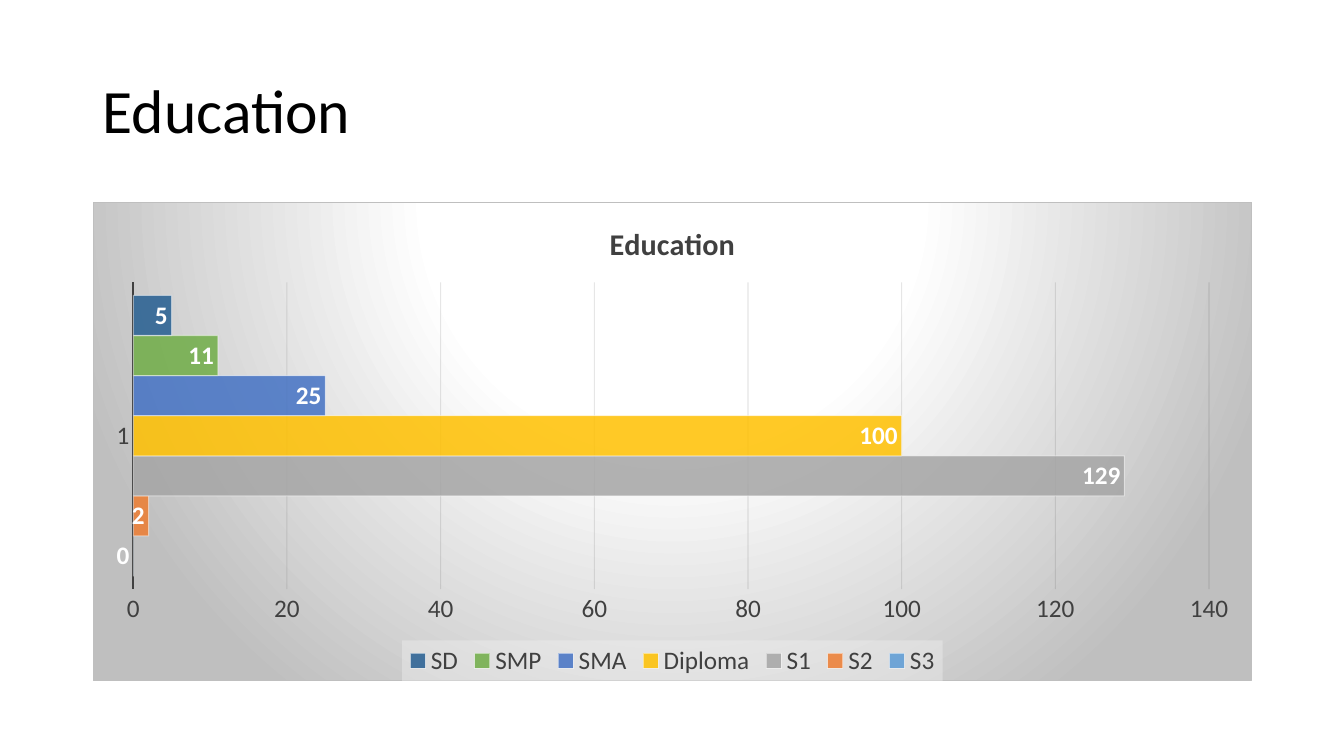
"""Build a slide with a bar chart of people by level of education."""
from dataclasses import dataclass
from typing import Any

import pptx
import pptx.chart.data
import pptx.dml.color
import pptx.enum.chart
import pptx.enum.text
import pptx.oxml
import pptx.oxml.ns
import pptx.util

RGBColor = pptx.dml.color.RGBColor
Cm = pptx.util.Cm
Pt = pptx.util.Pt

BLACK = RGBColor(0x00, 0x00, 0x00)
WHITE = RGBColor(0xFF, 0xFF, 0xFF)
DARK_GREY = RGBColor(0x40, 0x40, 0x40)
GRID_GREY = RGBColor(0x0D, 0x0D, 0x0D)
BORDER_GREY = RGBColor(0xBF, 0xBF, 0xBF)
LEGEND_GREY = RGBColor(0xF2, 0xF2, 0xF2)

FONT = "Calibri"
LEFT, WIDTH = Cm(2.34), Cm(29.21)


@dataclass(frozen=True)
class Level:
    """One level of education with its head count and bar colour."""

    name: str
    people: int
    color: RGBColor


LEVELS = [
    Level("S3", 0, RGBColor(0x5B, 0x9B, 0xD5)),
    Level("S2", 2, RGBColor(0xED, 0x7D, 0x31)),
    Level("S1", 129, RGBColor(0xA5, 0xA5, 0xA5)),
    Level("Diploma", 100, RGBColor(0xFF, 0xC0, 0x00)),
    Level("SMA", 25, RGBColor(0x44, 0x72, 0xC4)),
    Level("SMP", 11, RGBColor(0x70, 0xAD, 0x47)),
    Level("SD", 5, RGBColor(0x25, 0x5E, 0x91)),
]

OPACITY = {
    ".//c:ser/c:spPr/a:solidFill/a:srgbClr": 85,
    ".//c:ser/c:spPr/a:ln/a:solidFill/a:srgbClr": 50,
    ".//c:majorGridlines//a:srgbClr": 10,
    ".//c:legend/c:spPr//a:srgbClr": 39,
}

NAMESPACES = pptx.oxml.ns.nsdecls("c", "a")
BACKDROP = f"""<c:spPr {NAMESPACES}>
  <a:gradFill flip="none" rotWithShape="1">
    <a:gsLst>
      <a:gs pos="0"><a:srgbClr val="{WHITE}"/></a:gs>
      <a:gs pos="39000"><a:srgbClr val="{WHITE}"/></a:gs>
      <a:gs pos="100000"><a:srgbClr val="{BORDER_GREY}"/></a:gs>
    </a:gsLst>
    <a:path path="circle">
      <a:fillToRect l="50000" t="-80000" r="50000" b="180000"/>
    </a:path>
  </a:gradFill>
  <a:ln w="9525"><a:solidFill><a:srgbClr val="{BORDER_GREY}"/></a:solidFill></a:ln>
</c:spPr>"""
LEGEND_PANEL = f"""<c:spPr {NAMESPACES}>
  <a:solidFill><a:srgbClr val="{LEGEND_GREY}"/></a:solidFill>
</c:spPr>"""


def apply(target: Any, values: dict[str, Any]) -> None:
    """Set each named attribute of the target."""
    for name, value in values.items():
        setattr(target, name, value)


def style_font(font: Any, size: float, color: RGBColor, bold: bool = False) -> None:
    """Give a font its face, size, weight and colour."""
    apply(font, {"name": FONT, "size": Pt(size), "bold": bold})
    font.color.rgb = color


def style_line(line: Any, color: RGBColor, width: float) -> None:
    """Give a line its colour and width."""
    line.color.rgb = color
    line.width = Pt(width)


def add_heading(slide: Any) -> None:
    """Write the slide heading."""
    heading = slide.shapes.add_textbox(LEFT, Cm(1.02), WIDTH, Cm(3.68)).text_frame
    apply(heading, {"word_wrap": True,
                    "vertical_anchor": pptx.enum.text.MSO_ANCHOR.MIDDLE})
    paragraph = heading.paragraphs[0]
    paragraph.line_spacing = 0.9
    run = paragraph.add_run()
    run.text = "Education"
    style_font(run.font, 44, BLACK)


def style_axes(chart: Any) -> None:
    """Format both axes and the gridlines."""
    no_tick = pptx.enum.chart.XL_TICK_MARK.NONE
    for axis in (chart.category_axis, chart.value_axis):
        apply(axis, {"major_tick_mark": no_tick, "minor_tick_mark": no_tick})
        style_font(axis.tick_labels.font, 18, DARK_GREY)
    style_line(chart.category_axis.format.line, DARK_GREY, 1.5)
    apply(chart.value_axis, {"minimum_scale": 0, "maximum_scale": 140,
                             "major_unit": 20, "has_major_gridlines": True})
    chart.value_axis.format.line.fill.background()
    style_line(chart.value_axis.major_gridlines.format.line, GRID_GREY, 0.75)


def style_bars(plot: Any) -> None:
    """Colour and label the bar of each level."""
    apply(plot, {"gap_width": 65, "vary_by_categories": False})
    for bar, level in zip(plot.series, LEVELS):
        bar.invert_if_negative = False
        bar.format.fill.solid()
        bar.format.fill.fore_color.rgb = level.color
        style_line(bar.format.line, WHITE, 0.75)
        apply(bar.data_labels, {
            "show_value": True,
            "position": pptx.enum.chart.XL_LABEL_POSITION.INSIDE_END,
        })
        style_font(bar.data_labels.font, 18, WHITE, bold=True)


def add_education_chart(slide: Any) -> None:
    """Draw the chart with one bar per level."""
    data = pptx.chart.data.CategoryChartData()
    data.categories = ["1"]
    for level in LEVELS:
        data.add_series(level.name, [level.people])
    chart = slide.shapes.add_chart(
        pptx.enum.chart.XL_CHART_TYPE.BAR_CLUSTERED,
        LEFT, Cm(5.08), WIDTH, Cm(12.09), data,
    ).chart
    style_font(chart.font, 18, BLACK)
    apply(chart, {"has_title": True, "has_legend": True})

    chart.chart_title.include_in_layout = False
    caption = chart.chart_title.text_frame.paragraphs[0].add_run()
    caption.text = "Education"
    style_font(caption.font, 21.6, DARK_GREY, bold=True)

    apply(chart.legend, {
        "position": pptx.enum.chart.XL_LEGEND_POSITION.BOTTOM,
        "include_in_layout": False,
    })
    style_font(chart.legend.font, 18, DARK_GREY)
    style_axes(chart)
    style_bars(chart.plots[0])

    for anchor, panel in (("c:chart", BACKDROP), (".//c:legend/c:overlay", LEGEND_PANEL)):
        chart.element.xpath(anchor)[0].addnext(pptx.oxml.parse_xml(panel))
    for colored_part, percent in OPACITY.items():
        for color in chart.element.xpath(colored_part):
            color.append(pptx.oxml.parse_xml(
                f'<a:alpha {pptx.oxml.ns.nsdecls("a")} val="{percent * 1000}"/>'))


def main() -> None:
    """Build and save the slide."""
    deck = pptx.Presentation()
    apply(deck, {"slide_width": Cm(33.87), "slide_height": Cm(19.05)})
    slide = deck.slides.add_slide(deck.slide_layouts[6])
    add_heading(slide)
    add_education_chart(slide)
    deck.save("out.pptx")


if __name__ == "__main__":
    main()
